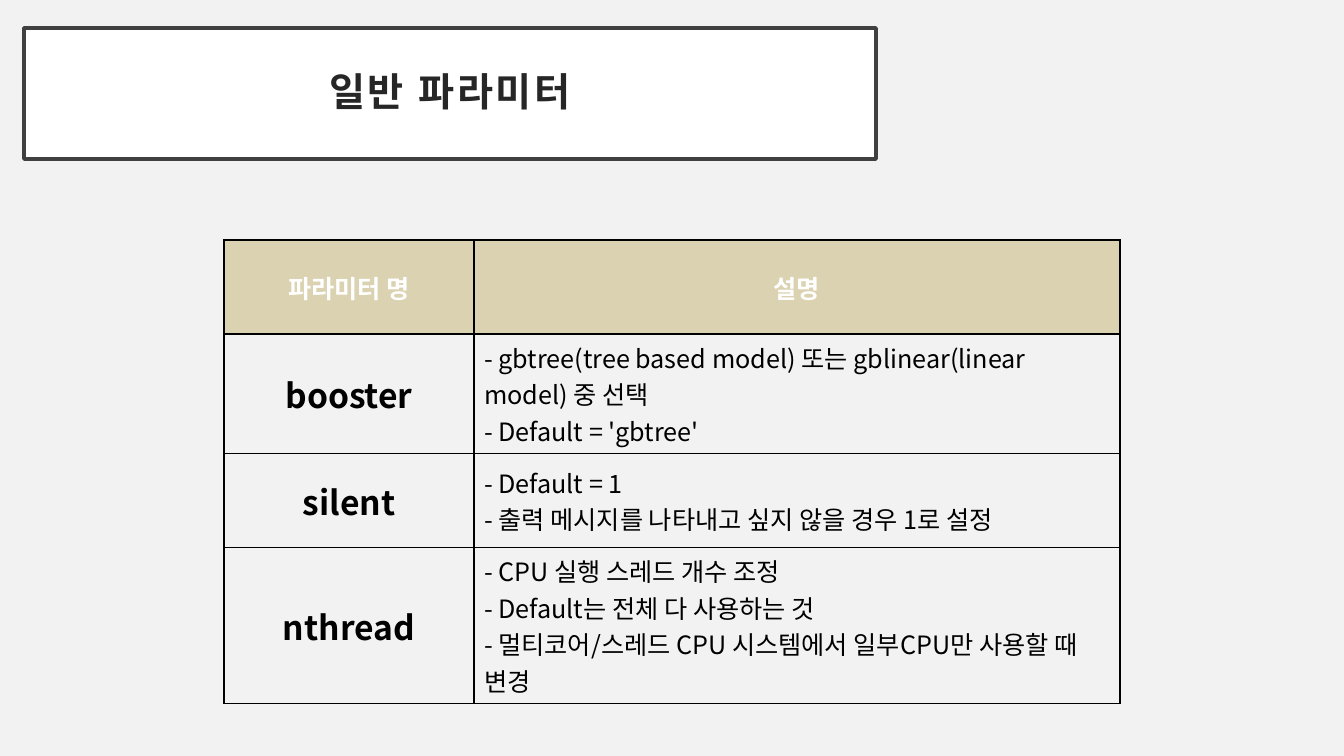
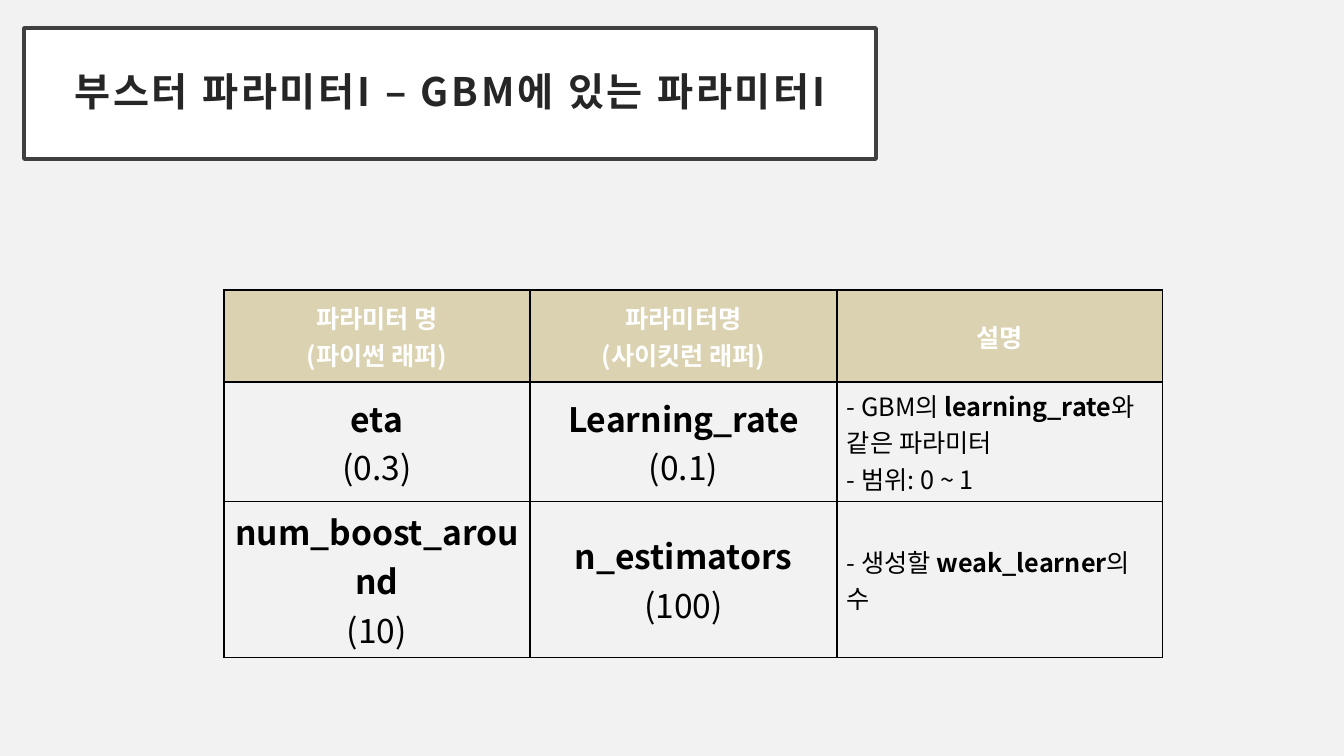
from dataclasses import dataclass
from typing import NamedTuple

from lxml.etree import SubElement
from pptx import Presentation
from pptx.dml.color import RGBColor
from pptx.enum.text import MSO_ANCHOR as Anchor, MSO_AUTO_SIZE as AutoSize, PP_ALIGN as Align
from pptx.oxml.ns import qn
from pptx.slide import Slide
from pptx.util import Emu, Pt

EMU_PER_PIXEL = 12192000 / 1344
FONT = "Noto Sans CJK KR"
PAGE_GREY = RGBColor(0xF2, 0xF2, 0xF2)
WHITE = RGBColor(0xFF, 0xFF, 0xFF)
BLACK = RGBColor(0x00, 0x00, 0x00)
FRAME_GREY = RGBColor(0x40, 0x40, 0x40)
TITLE_GREY = RGBColor(0x26, 0x26, 0x26)
HEADER_SAND = RGBColor(0xDA, 0xD2, 0xB0)
TITLE_ONLY = 5


class Span(NamedTuple):
    text: str
    bold: bool = False


class CellStyle(NamedTuple):
    size: int
    color: RGBColor
    align: Align
    fill: RGBColor | None = None


HEADER = CellStyle(18, WHITE, Align.CENTER, HEADER_SAND)
NAME = CellStyle(24, BLACK, Align.CENTER)
DESCRIPTION = CellStyle(18, BLACK, Align.LEFT)


@dataclass
class ParameterSlide:
    title: str
    table_top: int
    column_widths: list[int]
    row_heights: list[int]
    headers: list[str]
    parameters: list[list[list[Span]]]


def px(pixels: float) -> Emu:
    return Emu(round(pixels * EMU_PER_PIXEL))


def add_text(paragraph, span: Span, size: int, color: RGBColor, spacing: int = 0) -> None:
    for index, line in enumerate(span.text.split("\n")):
        if index:
            paragraph.add_line_break()
        if not line:
            continue
        run = paragraph.add_run()
        run.text = line
        run.font.size = Pt(size)
        run.font.bold = span.bold
        run.font.color.rgb = color
        run.font.name = FONT
        properties = run.font._element
        SubElement(properties, qn("a:ea"), typeface=FONT)
        if spacing:
            properties.set("spc", str(spacing * 100))


def draw_title(slide: Slide, text: str) -> None:
    title = slide.shapes.title
    title.left, title.top, title.width, title.height = map(px, (24, 28, 852, 131))
    title.fill.solid()
    title.fill.fore_color.rgb = WHITE
    title.line.color.rgb = FRAME_GREY
    title.line.width = Pt(2.5)
    frame = title.text_frame
    frame.auto_size = AutoSize.NONE
    frame.word_wrap = True
    frame.vertical_anchor = Anchor.MIDDLE
    frame.margin_left = frame.margin_right = frame.margin_top = frame.margin_bottom = px(20)
    paragraph = frame.paragraphs[0]
    paragraph.alignment = Align.CENTER
    paragraph.line_spacing = 0.9
    add_text(paragraph, Span(text, True), 28, TITLE_GREY, spacing=2)


def draw_borders(cell) -> None:
    properties = cell._tc.get_or_add_tcPr()
    for side in ("lnL", "lnR", "lnT", "lnB"):
        border = SubElement(properties, qn(f"a:{side}"), w=str(Pt(1)))
        fill = SubElement(border, qn("a:solidFill"))
        SubElement(fill, qn("a:srgbClr"), val=str(BLACK))


def draw_cell(cell, spans: list[Span], style: CellStyle) -> None:
    draw_borders(cell)
    if style.fill is None:
        cell.fill.background()
    else:
        cell.fill.solid()
        cell.fill.fore_color.rgb = style.fill
    cell.vertical_anchor = Anchor.MIDDLE
    paragraph = cell.text_frame.paragraphs[0]
    paragraph.alignment = style.align
    for span in spans:
        add_text(paragraph, span, style.size, style.color)


def draw_table(slide: Slide, content: ParameterSlide) -> None:
    widths, heights = content.column_widths, content.row_heights
    table = slide.shapes.add_table(
        len(heights), len(widths), px(224), px(content.table_top), px(sum(widths)), px(sum(heights))
    ).table
    table.first_row = table.horz_banding = False
    for column, width in zip(table.columns, widths):
        column.width = px(width)
    for row, height in zip(table.rows, heights):
        row.height = px(height)
    for column, header in enumerate(content.headers):
        draw_cell(table.cell(0, column), [Span(header, True)], HEADER)
    for row, parameter in enumerate(content.parameters, start=1):
        for column, spans in enumerate(parameter):
            style = DESCRIPTION if column == len(widths) - 1 else NAME
            draw_cell(table.cell(row, column), spans, style)


def named(name: str, default: str) -> list[Span]:
    return [Span(f"{name}\n", True), Span(default)]


SLIDES = [
    ParameterSlide(
        title="일반 파라미터",
        table_top=240,
        column_widths=[250, 646],
        row_heights=[94] * 4,
        headers=["파라미터 명", "설명"],
        parameters=[
            [
                [Span("booster", True)],
                [Span("- gbtree(tree based model) 또는 gblinear(linear model) 중 선택\n"
                      "- Default = 'gbtree'")],
            ],
            [
                [Span("silent", True)],
                [Span("- Default = 1\n- 출력 메시지를 나타내고 싶지 않을 경우 1로 설정")],
            ],
            [
                [Span("nthread", True)],
                [Span("- CPU 실행 스레드 개수 조정\n- Default는 전체 다 사용하는 것\n"
                      "- 멀티코어/스레드 CPU 시스템에서 일부CPU만 사용할 때 변경")],
            ],
        ],
    ),
    ParameterSlide(
        title="부스터 파라미터I – GBM에 있는 파라미터I",
        table_top=290,
        column_widths=[306, 307, 326],
        row_heights=[92, 117, 117],
        headers=["파라미터 명\n(파이썬 래퍼)", "파라미터명\n(사이킷런 래퍼)", "설명"],
        parameters=[
            [
                named("eta", "(0.3)"),
                named("Learning_rate", "(0.1)"),
                [Span("- GBM의 "), Span("learning_rate", True),
                 Span("와 같은 파라미터\n- 범위: 0 ~ 1")],
            ],
            [
                named("num_boost_around", "(10)"),
                named("n_estimators", "(100)"),
                [Span("- 생성할 "), Span("weak_learner", True), Span("의 수")],
            ],
        ],
    ),
]


def main() -> None:
    presentation = Presentation()
    presentation.slide_width, presentation.slide_height = px(1344), px(756)
    for content in SLIDES:
        slide = presentation.slides.add_slide(presentation.slide_layouts[TITLE_ONLY])
        slide.background.fill.solid()
        slide.background.fill.fore_color.rgb = PAGE_GREY
        draw_title(slide, content.title)
        draw_table(slide, content)
    presentation.save("out.pptx")


main()
